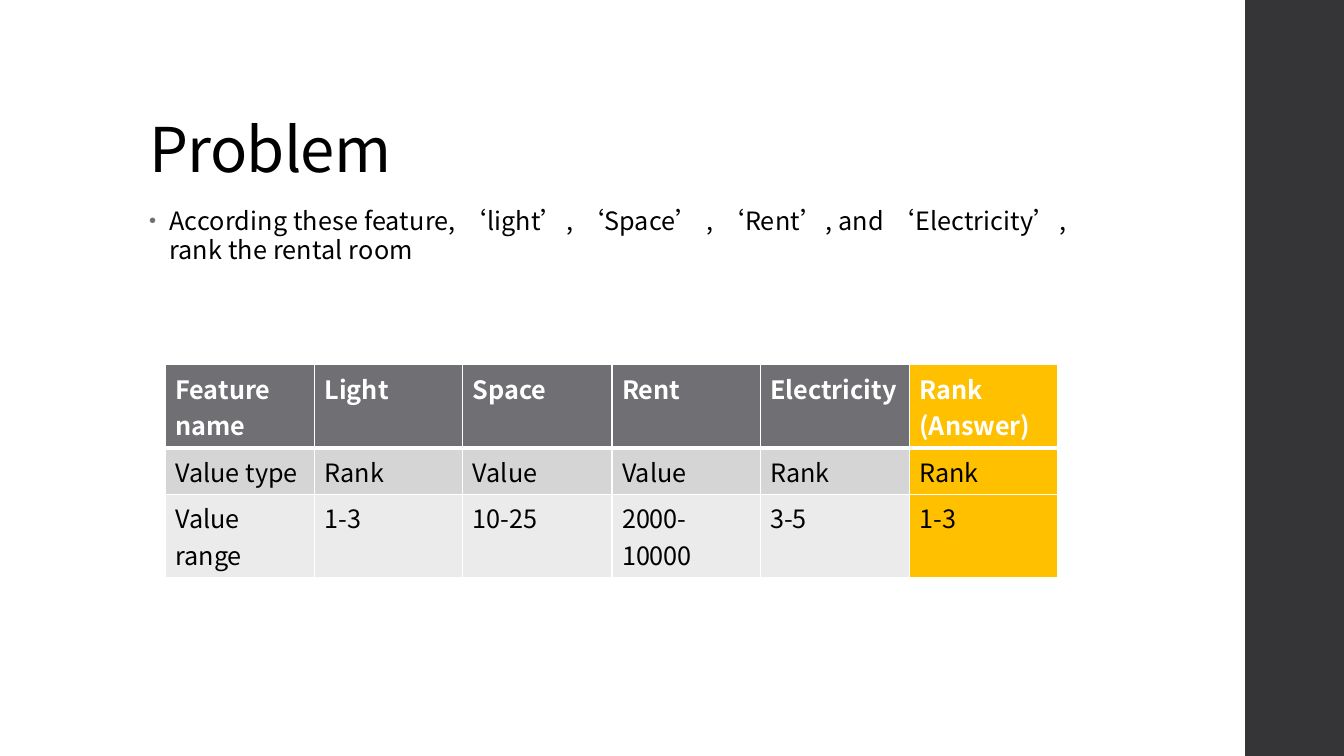
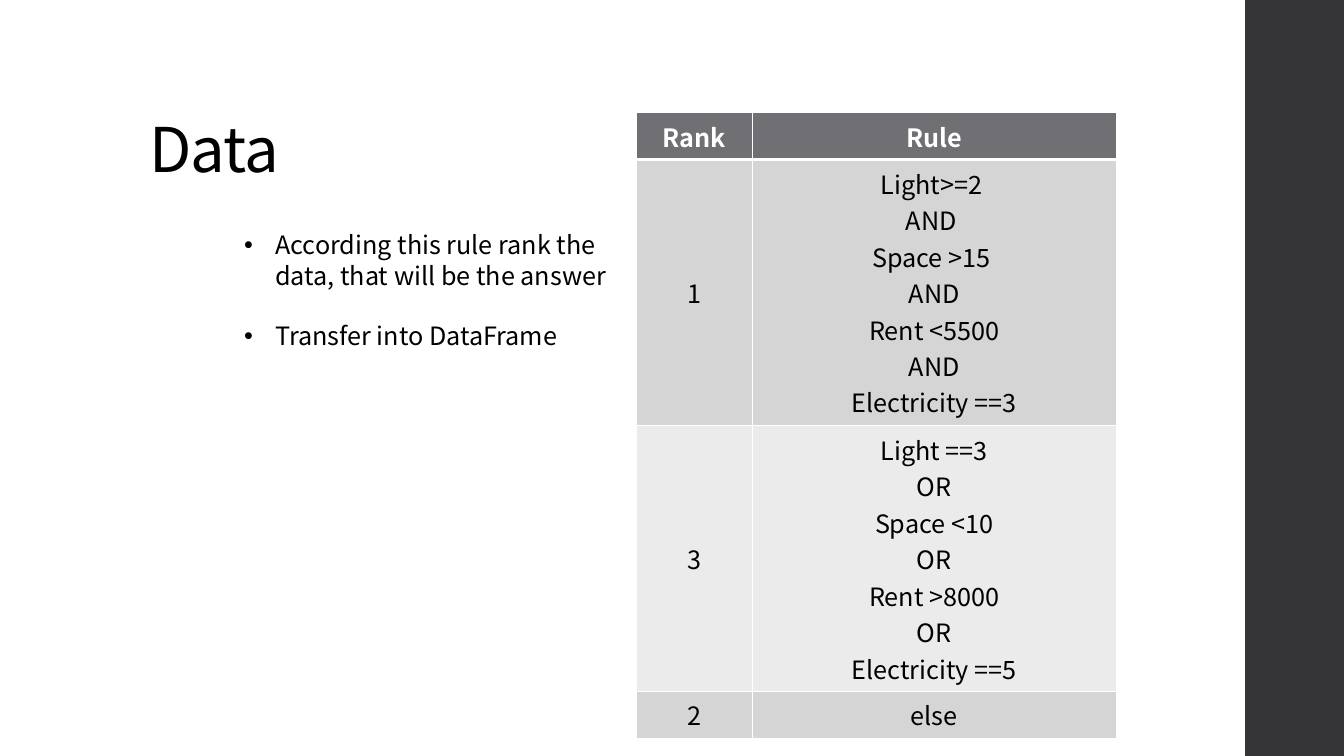
from dataclasses import dataclass

from lxml.etree import SubElement
from pptx import Presentation
from pptx.dml.color import RGBColor
from pptx.enum.shapes import MSO_SHAPE
from pptx.enum.text import MSO_ANCHOR, MSO_AUTO_SIZE, PP_ALIGN
from pptx.oxml import parse_xml
from pptx.oxml.ns import nsdecls, qn
from pptx.util import Emu, Pt

EMU_PER_PX = 9144
SLIDE_WIDTH, SLIDE_HEIGHT = 1333, 750
TITLE_AREA = (138, 40, 1060, 145)
BAND_AREA = (1235, 0, 98, SLIDE_HEIGHT)
FONT = "Noto Sans CJK TC"
TITLE_SIZE, TEXT_SIZE = 44, 18

BLACK = RGBColor(0x00, 0x00, 0x00)
WHITE = RGBColor(0xFF, 0xFF, 0xFF)
CHARCOAL = RGBColor(0x35, 0x35, 0x37)
GREY = RGBColor(0x6F, 0x6F, 0x74)
DARK_ROW = RGBColor(0xD5, 0xD5, 0xD6)
LIGHT_ROW = RGBColor(0xEB, 0xEB, 0xEB)
AMBER = RGBColor(0xFF, 0xC0, 0x00)


@dataclass(frozen=True)
class BulletList:
    area: tuple[int, int, int, int]
    items: tuple[str, ...]
    indent: int
    line_height: float
    space_before: int
    tracking: float = 0
    bullet_color: RGBColor = BLACK
    bullet_percent: int = 100


@dataclass(frozen=True)
class Grid:
    """A table; line breaks in a cell's text part its paragraphs."""
    left: int
    top: int
    columns: tuple[int, ...]
    row_heights: tuple[int, ...]
    rows: tuple[tuple[str, ...], ...]
    centered: bool = False
    highlight_column: int | None = None


@dataclass(frozen=True)
class Page:
    title: str
    bullets: BulletList
    grid: Grid


PAGES = (
    Page(
        "Problem",
        BulletList(
            (138, 200, 940, 476),
            ("According these feature, ‘light’, ‘Space’ , ‘Rent’, and ‘Electricity’, "
             "rank the rental room",),
            indent=20, line_height=20.7, space_before=14, tracking=0.1,
            bullet_color=GREY, bullet_percent=80,
        ),
        Grid(
            164, 362, (148, 147) * 3, (82, 46, 82),
            (
                ("Feature name", "Light", "Space", "Rent", "Electricity", "Rank\n(Answer)"),
                ("Value type", "Rank", "Value", "Value", "Rank", "Rank"),
                ("Value range", "1-3", "10-25", "2000-10000", "3-5", "1-3"),
            ),
            highlight_column=5,
        ),
    ),
    Page(
        "Data",
        BulletList(
            (232, 222, 399, 131),
            ("According this rule rank the data, that will be the answer",
             "Transfer into DataFrame"),
            indent=31, line_height=22, space_before=21,
        ),
        Grid(
            631, 112, (115, 361), (46, 264, 264, 46),
            (
                ("Rank", "Rule"),
                ("1", "Light>=2 \nAND \nSpace >15 \nAND\nRent <5500\nAND\nElectricity ==3"),
                ("3", "Light ==3\nOR\nSpace <10\nOR\nRent >8000\nOR\nElectricity ==5"),
                ("2", "else"),
            ),
            centered=True,
        ),
    ),
)


def px(length: int) -> Emu:
    return Emu(length * EMU_PER_PX)


def place(shape, area: tuple[int, int, int, int]) -> None:
    shape.left, shape.top, shape.width, shape.height = map(px, area)


def add_span(para, text: str, size: int, color: RGBColor = BLACK,
             bold: bool = False, tracking: float = 0) -> None:
    span = para.add_run()
    span.text = text
    span.font.size = Pt(size)
    span.font.name = FONT
    span.font.bold = bold
    span.font.color.rgb = color
    properties = span.font._element
    SubElement(properties, qn("a:ea")).set("typeface", FONT)
    if tracking:
        properties.set("spc", str(round(tracking * 100)))


def add_band(slide) -> None:
    band = slide.shapes.add_shape(MSO_SHAPE.RECTANGLE, *map(px, BAND_AREA))
    band.shadow.inherit = False
    band.fill.solid()
    band.fill.fore_color.rgb = CHARCOAL
    band.line.fill.background()


def fill_title(title, text: str) -> None:
    place(title, TITLE_AREA)
    frame = title.text_frame
    frame.auto_size = MSO_AUTO_SIZE.NONE
    frame.vertical_anchor = MSO_ANCHOR.BOTTOM
    frame.margin_bottom = px(1)
    para = frame.paragraphs[0]
    para.alignment = PP_ALIGN.LEFT
    para.line_spacing = 0.9
    add_span(para, text, TITLE_SIZE, tracking=-0.5)


def set_bullet(para, bullets: BulletList) -> None:
    properties = para._p.get_or_add_pPr()
    properties.set("marL", str(px(bullets.indent)))
    properties.set("indent", str(-px(bullets.indent)))
    color = SubElement(properties, qn("a:buClr"))
    SubElement(color, qn("a:srgbClr")).set("val", str(bullets.bullet_color))
    SubElement(properties, qn("a:buSzPct")).set("val", str(bullets.bullet_percent * 1000))
    SubElement(properties, qn("a:buFont")).set("typeface", "Arial")
    SubElement(properties, qn("a:buChar")).set("char", "•")


def fill_body(body, bullets: BulletList) -> None:
    place(body, bullets.area)
    frame = body.text_frame
    frame.word_wrap = True
    frame.auto_size = MSO_AUTO_SIZE.NONE
    for index, item in enumerate(bullets.items):
        para = frame.add_paragraph() if index else frame.paragraphs[0]
        para.line_spacing = Pt(bullets.line_height)
        para.space_before = Pt(bullets.space_before if index else 0)
        para.space_after = Pt(0)
        set_bullet(para, bullets)
        add_span(para, item, TEXT_SIZE, tracking=bullets.tracking)


def set_borders(cell, top: int, bottom: int) -> None:
    """Draw white cell borders, with the top and bottom widths in points."""
    properties = cell._tc.get_or_add_tcPr()
    widths = {"lnL": 1, "lnR": 1, "lnT": top, "lnB": bottom}
    for index, (side, width) in enumerate(widths.items()):
        properties.insert(index, parse_xml(
            f'<a:{side} {nsdecls("a")} w="{Pt(width)}"><a:solidFill>'
            f'<a:srgbClr val="{WHITE}"/></a:solidFill></a:{side}>'))


def fill_cell(cell, text: str, row: int, centered: bool, highlighted: bool) -> None:
    is_header = row == 0
    row_color = GREY if is_header else DARK_ROW if row % 2 else LIGHT_ROW
    cell.fill.solid()
    cell.fill.fore_color.rgb = AMBER if highlighted else row_color
    set_borders(cell, top=3 if row == 1 else 1, bottom=3 if is_header else 1)
    cell.vertical_anchor = MSO_ANCHOR.MIDDLE if centered else MSO_ANCHOR.TOP
    frame = cell.text_frame
    for index, line in enumerate(text.split("\n")):
        para = frame.add_paragraph() if index else frame.paragraphs[0]
        para.alignment = PP_ALIGN.CENTER if centered else PP_ALIGN.LEFT
        add_span(para, line, TEXT_SIZE, WHITE if is_header else BLACK, bold=is_header)


def add_grid(slide, grid: Grid) -> None:
    table = slide.shapes.add_table(
        len(grid.rows), len(grid.columns), px(grid.left), px(grid.top),
        px(sum(grid.columns)), px(sum(grid.row_heights))).table
    table.horz_banding = False
    for column, width in zip(table.columns, grid.columns):
        column.width = px(width)
    for row, height in zip(table.rows, grid.row_heights):
        row.height = px(height)
    for row_index, texts in enumerate(grid.rows):
        for column_index, text in enumerate(texts):
            fill_cell(table.cell(row_index, column_index), text, row_index,
                      grid.centered, column_index == grid.highlight_column)


def add_page(deck, page: Page) -> None:
    slide = deck.slides.add_slide(deck.slide_layouts[1])
    add_band(slide)
    fill_title(slide.shapes.title, page.title)
    fill_body(slide.placeholders[1], page.bullets)
    add_grid(slide, page.grid)


def main() -> None:
    deck = Presentation()
    deck.slide_width, deck.slide_height = px(SLIDE_WIDTH), px(SLIDE_HEIGHT)
    for page in PAGES:
        add_page(deck, page)
    deck.save("out.pptx")


if __name__ == "__main__":
    main()
